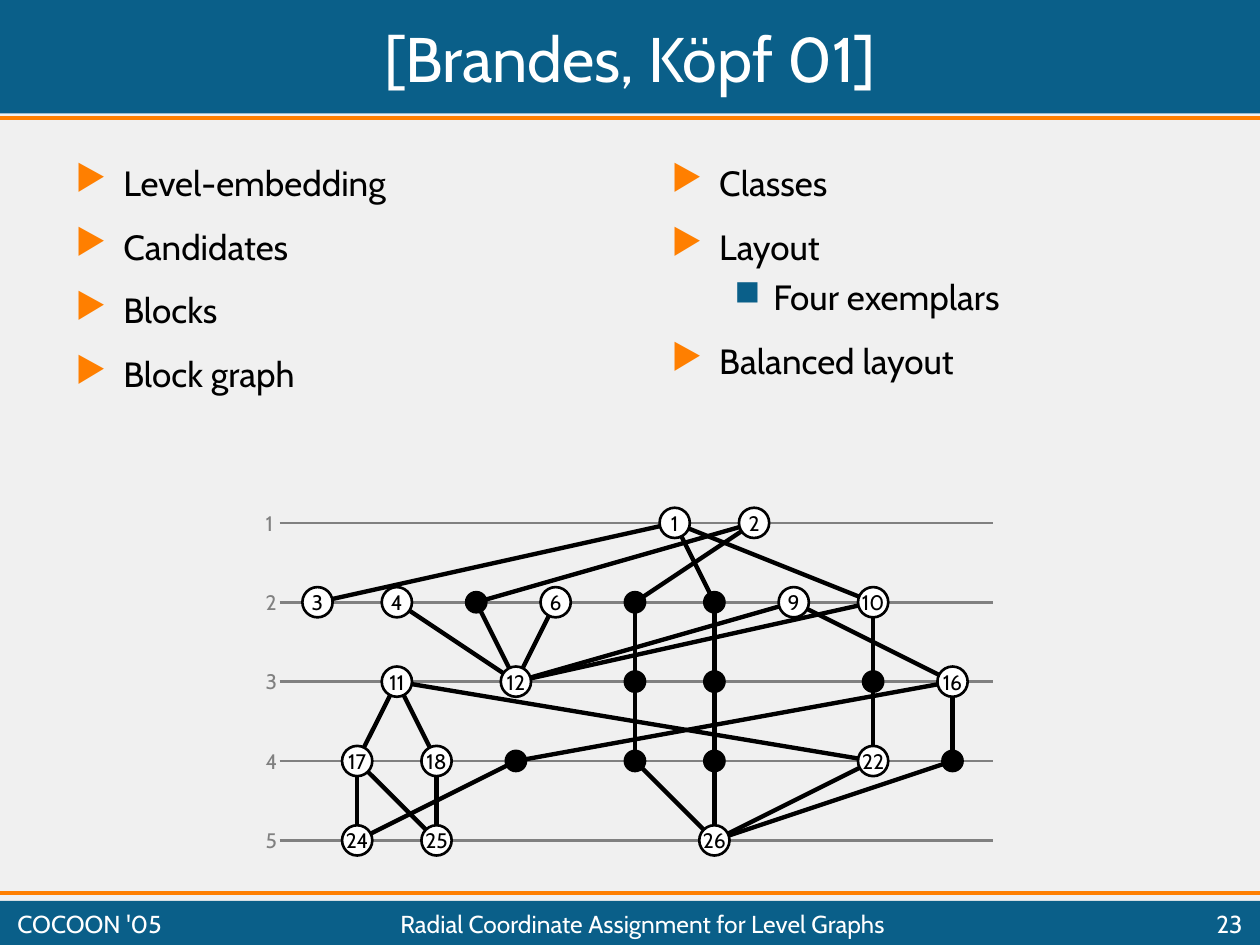
import pptx
import pptx.dml.color
import pptx.enum.shapes
import pptx.enum.text
import pptx.oxml.ns
import pptx.util
from lxml import etree

Inches = pptx.util.Inches
Pt = pptx.util.Pt
Shape = pptx.enum.shapes.MSO_SHAPE
Align = pptx.enum.text.PP_ALIGN
Anchor = pptx.enum.text.MSO_ANCHOR
qn = pptx.oxml.ns.qn

FONT = "Cabin"
BLUE, ORANGE, GREY = "0A5F89", "FF7F00", "808080"
BLACK, WHITE, PAPER = "000000", "FFFFFF", "F0F0F0"

LEFT_TOPICS = [("Level-embedding", 0), ("Candidates", 0), ("Blocks", 0), ("Block graph", 0)]
RIGHT_TOPICS = [("Classes", 0), ("Layout", 0), ("Four exemplars", 1), ("Balanced layout", 0)]
BULLETS = [("▶", ORANGE, 0.38, 0.38, 12.5), ("■", BLUE, 0.81, 0.31, 5)]

LEVEL_COLUMNS = [
    [9, 11],
    [0, 2, 4, 6, 8, 10, 12, 14],
    [2, 5, 8, 10, 14, 16],
    [1, 3, 5, 8, 10, 14, 16],
    [1, 3, 10],
]
DUMMY_NODES = {5, 7, 8, 13, 14, 15, 19, 20, 21, 23}
EDGES = [
    (1, 3), (1, 8), (1, 10), (2, 5), (2, 7),
    (4, 12), (5, 12), (6, 12), (7, 13), (8, 14), (9, 12), (9, 16), (10, 12), (10, 15),
    (11, 17), (11, 18), (11, 22), (13, 20), (14, 21), (15, 22), (16, 19), (16, 23),
    (17, 24), (17, 25), (18, 25), (19, 24), (20, 26), (21, 26), (22, 26), (23, 26),
]


def color(value):
    return pptx.dml.color.RGBColor.from_string(value)


def add_line(page, start, end, ink, width):
    line = page.shapes.add_connector(
        pptx.enum.shapes.MSO_CONNECTOR.STRAIGHT, *map(Inches, start + end))
    line.line.color.rgb = color(ink)
    line.line.width = Pt(width)
    etree.SubElement(line._element.spPr, qn("a:effectLst"))


def add_solid(page, kind, area, fill, outline=None):
    shape = page.shapes.add_shape(kind, *map(Inches, area))
    shape.shadow.inherit = False
    shape.fill.solid()
    shape.fill.fore_color.rgb = color(fill)
    if outline:
        shape.line.color.rgb = color(outline)
        shape.line.width = Pt(1.5)
    else:
        shape.line.fill.background()
    return shape


def write(para, text, size, ink, align=Align.LEFT):
    para.alignment = align
    span = para.add_run()
    span.text = text
    span.font.name = FONT
    span.font.size = Pt(size)
    span.font.color.rgb = color(ink)


def add_text(page, area, text, size, ink, align=Align.LEFT, anchor=Anchor.MIDDLE, wrap=True):
    box = page.shapes.add_textbox(*map(Inches, area))
    box.text_frame.word_wrap = wrap
    box.text_frame.vertical_anchor = anchor
    write(box.text_frame.paragraphs[0], text, size, ink, align)


def add_header(page, area):
    left, top, width, height = area
    add_solid(page, Shape.RECTANGLE, area, BLUE)
    rule = top + height + 0.04
    add_line(page, (left, rule), (left + width, rule), ORANGE, 2.25)
    add_text(page, (left + 0.04, top + 0.04, width - 0.08, 0.83),
             "[Brandes, Köpf 01]", 36, WHITE, Align.CENTER)


def add_footer(page, area):
    left, top, width, height = area
    add_solid(page, Shape.RECTANGLE, area, BLUE)
    rule = top - 0.06
    add_line(page, (left, rule), (left + width, rule), ORANGE, 2.25)
    for offset, span_width, text, align in [
        (0.04, 1.44, "COCOON '05", Align.LEFT),
        (1.5, 7.2, "Radial Coordinate Assignment for Level Graphs", Align.CENTER),
        (8.78, 1.18, "23", Align.RIGHT),
    ]:
        add_text(page, (left + offset, top + 0.04, span_width, 0.28), text, 14, WHITE, align)


def add_topics(page, area, topics):
    box = page.shapes.add_textbox(*map(Inches, area))
    frame = box.text_frame
    frame.word_wrap = True
    for index, (text, level) in enumerate(topics):
        para = frame.add_paragraph() if index else frame.paragraphs[0]
        mark, ink, margin, hanging, before = BULLETS[level]
        para.level = level
        para.space_before = Pt(before)
        write(para, text, 20, BLACK)
        settings = para._p.get_or_add_pPr()
        settings.set("marL", str(Inches(margin)))
        settings.set("indent", str(-Inches(hanging)))
        bullet_color = etree.SubElement(settings, qn("a:buClr"))
        etree.SubElement(bullet_color, qn("a:srgbClr"), val=ink)
        etree.SubElement(settings, qn("a:buChar"), char=mark)


def add_node(page, center, number):
    x, y = center
    dummy = number in DUMMY_NODES
    size = 0.16 if dummy else 0.24
    node = add_solid(page, Shape.OVAL, (x - size / 2, y - size / 2, size, size),
                     BLACK if dummy else WHITE, BLACK)
    if not dummy:
        node.text_frame.word_wrap = False
        node.text_frame.vertical_anchor = Anchor.MIDDLE
        write(node.text_frame.paragraphs[0], str(number), 12, BLACK, Align.CENTER)


def add_level_graph(page, area):
    left, top, width, height = area
    level_gap = height / (len(LEVEL_COLUMNS) - 1)
    column_gap = level_gap / 2
    centers = {}
    for level, columns in enumerate(LEVEL_COLUMNS):
        y = top + level * level_gap
        add_line(page, (left, y), (left + width, y), GREY, 1.5)
        add_text(page, (left - 0.21, y - 0.15, 0.29, 0.3), str(level + 1), 12, GREY,
                 anchor=Anchor.TOP, wrap=False)
        for column in columns:
            centers[len(centers) + 1] = (left + 0.3 + column * column_gap, y)
    for source, target in EDGES:
        add_line(page, centers[source], centers[target], BLACK, 2.5)
    for number, center in centers.items():
        add_node(page, center, number)


def main():
    deck = pptx.Presentation()
    deck.slide_width = Inches(10)
    deck.slide_height = Inches(7.5)
    page = deck.slides.add_slide(deck.slide_layouts[6])
    page.background.fill.solid()
    page.background.fill.fore_color.rgb = color(PAPER)
    add_header(page, (0, 0, 10, 0.9))
    add_footer(page, (0, 7.15, 10, 0.35))
    add_topics(page, (0.5, 1.23, 4.49, 2.52), LEFT_TOPICS)
    add_topics(page, (5.23, 1.23, 3.71, 2.52), RIGHT_TOPICS)
    add_level_graph(page, (2.22, 4.15, 5.66, 2.52))
    deck.save("out.pptx")


if __name__ == "__main__":
    main()
